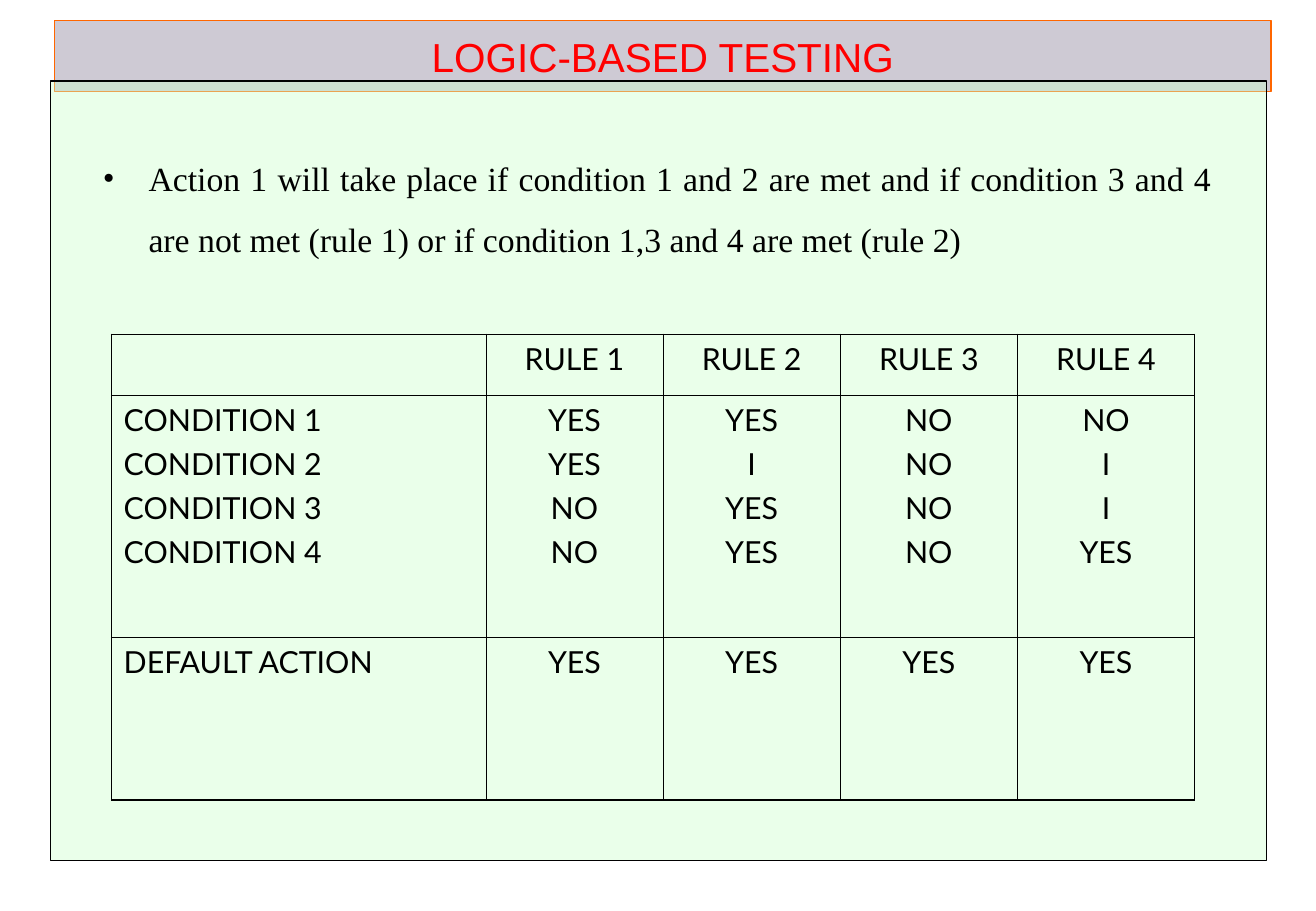
from lxml import etree
from pptx import Presentation
from pptx.dml.color import RGBColor
from pptx.enum.shapes import MSO_SHAPE as SHAPE
from pptx.enum.text import MSO_ANCHOR as ANCHOR, PP_ALIGN as ALIGN
from pptx.oxml import parse_xml
from pptx.oxml.ns import nsdecls, qn
from pptx.util import Pt

BLACK = RGBColor(0x00, 0x00, 0x00)
RED = RGBColor(0xFF, 0x00, 0x00)
ORANGE = RGBColor(0xFF, 0x66, 0x00)
GREY = RGBColor(0xCE, 0xCA, 0xD4)
GREEN = RGBColor(0xCC, 0xFF, 0xCC)


def add_panel(left, top, width, height, fill, line):
    s = slide.shapes.add_shape(SHAPE.RECTANGLE, Pt(left), Pt(top), Pt(width), Pt(height))
    s.shadow.inherit = False
    s.fill.solid()
    s.fill.fore_color.rgb = fill
    s.line.color.rgb = line
    s.line.width = Pt(0.75)
    return s


def add_text(p, text, font, size, color, align):
    p.alignment = align
    r = p.add_run()
    r.text = text
    r.font.name = font
    r.font.size = Pt(size)
    r.font.color.rgb = color


prs = Presentation()
prs.slide_width = Pt(780.48)
prs.slide_height = Pt(540)
slide = prs.slides.add_slide(prs.slide_layouts[6])

# Title bar
title = add_panel(32.4, 12.2, 721.5, 42, GREY, ORANGE)
title.text_frame.vertical_anchor = ANCHOR.MIDDLE
add_text(title.text_frame.paragraphs[0], "LOGIC-BASED TESTING", "Arial", 24, RED, ALIGN.CENTER)

# Translucent body panel
body = add_panel(30, 48, 721, 462.25, GREEN, BLACK)
color = body.fill._xPr.find(qn("a:solidFill"))[0]
etree.SubElement(color, qn("a:alpha")).set("val", "40000")

# Bullet explaining the rules
s = slide.shapes.add_textbox(Pt(54), Pt(78), Pt(672), Pt(60))
tf = s.text_frame
tf.word_wrap = True
p = tf.paragraphs[0]
p.line_spacing = 1.5
pPr = p._p.get_or_add_pPr()
pPr.set("marL", str(Pt(27)))
pPr.set("indent", str(Pt(-27)))
etree.SubElement(pPr, qn("a:buFont")).set("typeface", "Times New Roman")
etree.SubElement(pPr, qn("a:buChar")).set("char", "•")
add_text(p, "Action 1 will take place if condition 1 and 2 are met and if condition 3 and 4 "
            "are not met (rule 1) or if condition 1,3 and 4 are met (rule 2)",
         "Times New Roman", 20, BLACK, ALIGN.JUSTIFY)

# Decision table: each cell is a list of lines
rows = [
    [[], ["RULE 1"], ["RULE 2"], ["RULE 3"], ["RULE 4"]],
    [["CONDITION 1", "CONDITION 2", "CONDITION 3", "CONDITION 4"],
     ["YES", "YES", "NO", "NO"],
     ["YES", "I", "YES", "YES"],
     ["NO", "NO", "NO", "NO"],
     ["NO", "I", "I", "YES"]],
    [["DEFAULT ACTION"]] + [["YES"]] * 4,
]
widths = [222] + [105.1] * 4
heights = [36, 143.5, 96.5]
table = slide.shapes.add_table(len(rows), len(widths), Pt(66.2), Pt(198.2),
                               Pt(sum(widths)), Pt(sum(heights))).table
table.first_row = False
table.horz_banding = False
for column, width in zip(table.columns, widths):
    column.width = Pt(width)

for i, row in enumerate(rows):
    table.rows[i].height = Pt(heights[i])
    for j, lines in enumerate(row):
        cell = table.cell(i, j)
        # Thick border outside, thin border inside
        outer = {"lnL": j == 0, "lnR": j == len(widths) - 1,
                 "lnT": i == 0, "lnB": i == len(rows) - 1}
        tcPr = cell._tc.get_or_add_tcPr()
        for side, is_outer in outer.items():
            weight = Pt(1.08 if is_outer else 0.45)
            tcPr.append(parse_xml(
                f'<a:{side} {nsdecls("a")} w="{weight}"><a:solidFill>'
                f'<a:srgbClr val="{BLACK}"/></a:solidFill></a:{side}>'))
        cell.fill.background()
        for n, line in enumerate(lines):
            p = cell.text_frame.add_paragraph() if n else cell.text_frame.paragraphs[0]
            if n:
                p.space_before = Pt(4.5)
            add_text(p, line, "Lato", 18, BLACK, ALIGN.CENTER if j else ALIGN.JUSTIFY)

prs.save("out.pptx")
